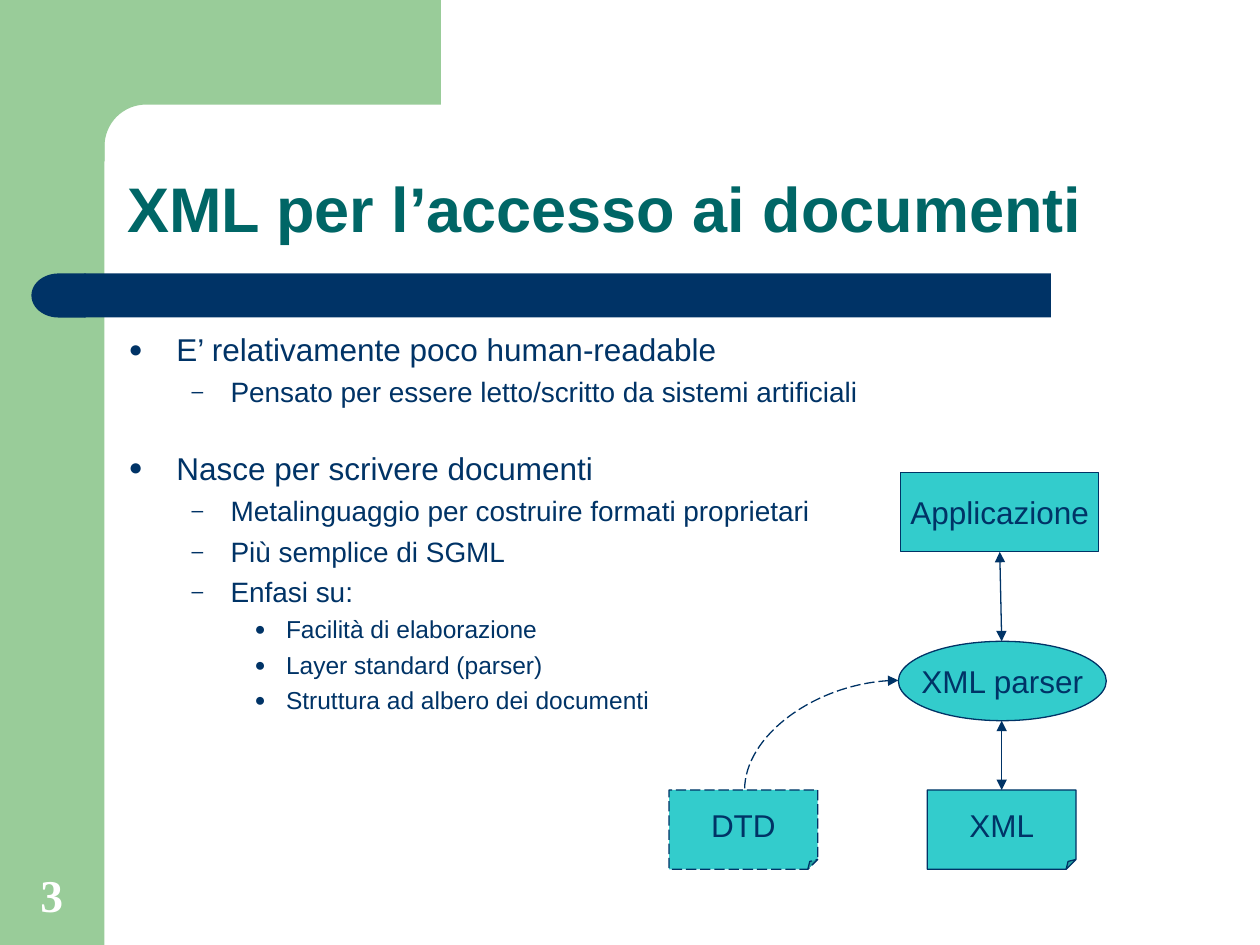
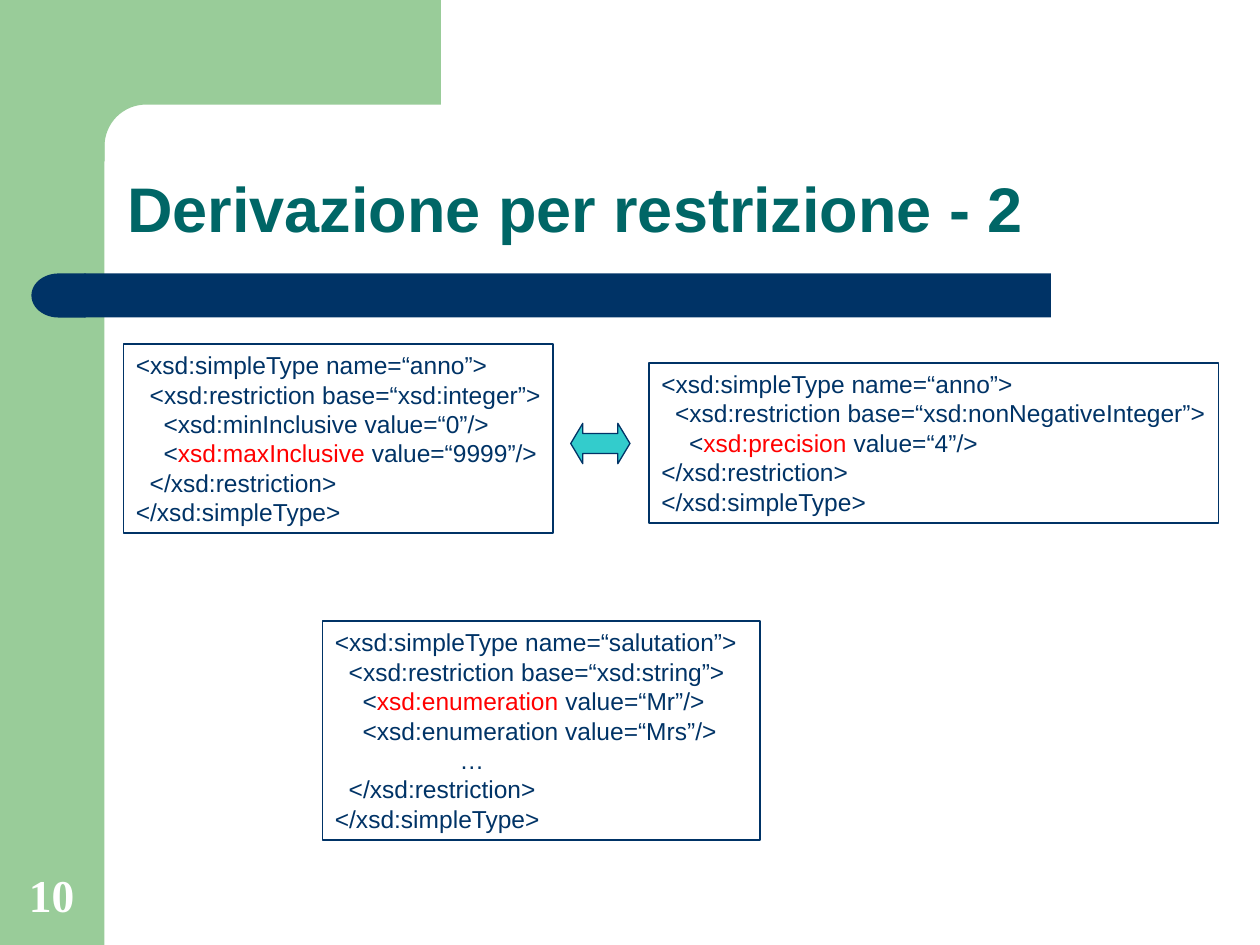
from math import cos, pi, sin

from lxml.etree import SubElement
from pptx import Presentation
from pptx.dml.color import RGBColor
from pptx.enum.dml import MSO_LINE
from pptx.enum.shapes import MSO_CONNECTOR as LINK, MSO_SHAPE as SHAPE
from pptx.enum.text import MSO_ANCHOR as ANCHOR, MSO_AUTO_SIZE as AUTO, PP_ALIGN as ALIGN
from pptx.oxml.ns import qn
from pptx.util import Inches, Pt

GREEN = RGBColor(0x99, 0xCC, 0x99)
NAVY = RGBColor(0x00, 0x33, 0x66)
TEAL = RGBColor(0x00, 0x66, 0x66)
AQUA = RGBColor(0x33, 0xCC, 0xCC)
RED = RGBColor(0xFF, 0x00, 0x00)
WHITE = RGBColor(0xFF, 0xFF, 0xFF)
SANS, SERIF = "Arial", "Times New Roman"

# Per list level: left margin, hanging indent, text size, space before, bullet
LEVELS = [(0.38, 0.38, 18, 4.5, "●"), (0.81, 0.31, 16, 4, "–"), (1.25, 0.25, 14, 3.5, "●")]
SECTION_GAP = 23
CODE_STEP = 0.11

# (level, text) and, for code, (depth, plain, red, plain ...)
ACCESS_POINTS = [
    (0, "E’ relativamente poco human-readable"),
    (1, "Pensato per essere letto/scritto da sistemi artificiali"),
    (0, "Nasce per scrivere documenti"),
    (1, "Metalinguaggio per costruire formati proprietari"),
    (1, "Più semplice di SGML"),
    (1, "Enfasi su:"),
    (2, "Facilità di elaborazione"),
    (2, "Layer standard (parser)"),
    (2, "Struttura ad albero dei documenti"),
]
YEAR_BY_RANGE = [
    (0, "<xsd:simpleType name=“anno”>"),
    (1, "<xsd:restriction base=“xsd:integer”>"),
    (2, "<xsd:minInclusive value=“0”/>"),
    (2, "<", "xsd:maxInclusive", " value=“9999”/>"),
    (1, "</xsd:restriction>"),
    (0, "</xsd:simpleType>"),
]
YEAR_BY_PRECISION = [
    (0, "<xsd:simpleType name=“anno”>"),
    (1, "<xsd:restriction base=“xsd:nonNegativeInteger”>"),
    (2, "<", "xsd:precision", " value=“4”/>"),
    (0, "</xsd:restriction>"),
    (0, "</xsd:simpleType>"),
]
SALUTATION = [
    (0, "<xsd:simpleType name=“salutation”>"),
    (1, "<xsd:restriction base=“xsd:string”>"),
    (2, "<", "xsd:enumeration", " value=“Mr”/>"),
    (2, "<xsd:enumeration value=“Mrs”/>"),
    (9, "…"),
    (1, "</xsd:restriction>"),
    (0, "</xsd:simpleType>"),
]


def add_run(paragraph, text, size, color=NAVY, font=SANS, bold=False):
    run = paragraph.add_run()
    run.text = text
    run.font.name, run.font.size, run.font.bold = font, Pt(size), bold
    run.font.color.rgb = color


def paragraphs(frame, count):
    """Yield the frame's first paragraph, then new ones."""
    yield frame.paragraphs[0]
    for _ in range(count - 1):
        yield frame.add_paragraph()


def paint(shape, fill=None, line=None, width=0.75):
    shape.shadow.inherit = False
    if fill is None:
        shape.fill.background()
    else:
        shape.fill.solid()
        shape.fill.fore_color.rgb = fill
    if line is None:
        shape.line.fill.background()
    else:
        shape.line.color.rgb = line
        shape.line.width = Pt(width)


def add_block(slide, kind, box, fill=None, line=None, width=0.75):
    block = slide.shapes.add_shape(kind, *map(Inches, box))
    paint(block, fill, line, width)
    return block


def place(placeholder, box):
    placeholder.left, placeholder.top, placeholder.width, placeholder.height = map(Inches, box)
    frame = placeholder.text_frame
    frame.auto_size = AUTO.NONE
    return frame


# Shared frame of every slide
def add_frame(slide):
    add_block(slide, SHAPE.RECTANGLE, (0, 0, 0.83, 7.5), GREEN)

    # Top band with a rounded inner corner
    side, center, radius = 0.83, 1.16, 0.33
    arc = [(center - radius * sin(a), center - radius * cos(a))
           for a in (pi / 2 * i / 16 for i in range(17))]
    outline = [(3.5, 0), (3.5, side), *arc, (side, 1.28), (0.5, 1.28)]
    builder = slide.shapes.build_freeform(Inches(0.5), 0)
    builder.add_line_segments([(Inches(x), Inches(y)) for x, y in outline])
    paint(builder.convert_to_shape(), GREEN)

    # Rule under the title
    add_block(slide, SHAPE.RECTANGLE, (0.67, 2.17, 7.67, 0.35), NAVY)
    rule_end = add_block(slide, SHAPE.FLOWCHART_DELAY, (0.25, 2.17, 0.43, 0.35), NAVY)
    rule_end._element.spPr.find(qn("a:xfrm")).set("flipH", "1")


def add_title(slide, text, width):
    frame = place(slide.shapes.title, (0.91, 0.91, width, 1.09))
    frame.vertical_anchor = ANCHOR.BOTTOM
    heading = frame.paragraphs[0]
    heading.alignment, heading.line_spacing = ALIGN.LEFT, 0.9
    add_run(heading, text, 36, TEAL, bold=True)


def add_number(slide, number):
    corner = slide.shapes.add_textbox(*map(Inches, (0.09, 6.83, 0.64, 0.53)))
    frame = corner.text_frame
    frame.word_wrap, frame.vertical_anchor = True, ANCHOR.BOTTOM
    frame.paragraphs[0].alignment = ALIGN.CENTER
    add_run(frame.paragraphs[0], str(number), 26, WHITE, SERIF, True)


def new_slide(deck, layout, title, title_width, number):
    slide = deck.slides.add_slide(deck.slide_layouts[layout])
    add_frame(slide)
    add_title(slide, title, title_width)
    add_number(slide, number)
    return slide


# Content elements
def set_bullet(paragraph, margin, hanging, symbol):
    props = paragraph._p.get_or_add_pPr()
    props.set("marL", str(Inches(margin)))
    props.set("indent", str(-Inches(hanging)))
    SubElement(SubElement(props, qn("a:buClr")), qn("a:srgbClr")).set("val", str(NAVY))
    SubElement(props, qn("a:buSzPct")).set("val", "75000")
    SubElement(props, qn("a:buFont")).set("typeface", SANS)
    SubElement(props, qn("a:buChar")).set("char", symbol)


def add_list(slide, points, box):
    frame = place(slide.placeholders[1], box)
    for index, (point, (level, text)) in enumerate(zip(paragraphs(frame, len(points)), points)):
        margin, hanging, size, before, symbol = LEVELS[level]
        point.level = level
        starts_section = level == 0 and index > 0
        point.space_before = Pt(SECTION_GAP if starts_section else before)
        set_bullet(point, margin, hanging, symbol)
        add_run(point, text, size)


def set_fold(sheet, size):
    guides = sheet._element.spPr.find(qn("a:prstGeom")).get_or_add_avLst()
    fold = SubElement(guides, qn("a:gd"))
    fold.set("name", "adj")
    fold.set("fmla", f"val {size}")


def add_node(slide, kind, box, label, dashed=False):
    node = add_block(slide, kind, box, AQUA, NAVY)
    if kind == SHAPE.FOLDED_CORNER:
        set_fold(node, 12500)
    if dashed:
        node.line.dash_style = MSO_LINE.LONG_DASH
    frame = node.text_frame
    frame.word_wrap, frame.vertical_anchor = False, ANCHOR.MIDDLE
    frame.paragraphs[0].alignment = ALIGN.CENTER
    add_run(frame.paragraphs[0], label, 18)
    return node


def add_arrow(slide, kind, start, end, ends=("headEnd", "tailEnd"), dashed=False):
    arrow = slide.shapes.add_connector(kind, *map(Inches, (*start, *end)))
    arrow.line.color.rgb, arrow.line.width = NAVY, Pt(0.75)
    if dashed:
        arrow.line.dash_style = MSO_LINE.LONG_DASH
    props = arrow._element.spPr
    for tip in ends:
        SubElement(props.find(qn("a:ln")), qn(f"a:{tip}")).set("type", "triangle")
    SubElement(props, qn("a:effectLst"))
    return arrow


def add_code(slide, lines, box, wrap=False):
    panel = add_block(slide, SHAPE.RECTANGLE, box, line=NAVY, width=1)
    frame = panel.text_frame
    frame.word_wrap, frame.vertical_anchor = wrap, ANCHOR.TOP
    for row, (depth, *parts) in zip(paragraphs(frame, len(lines)), lines):
        row.alignment = ALIGN.LEFT
        row._p.get_or_add_pPr().set("marL", str(Inches(depth * CODE_STEP)))
        for index, part in enumerate(parts):
            add_run(row, part, 14, RED if index % 2 else NAVY)


# Slides
def build_access(deck):
    slide = new_slide(deck, 1, "XML per l’accesso ai documenti", 8.51, 3)
    add_list(slide, ACCESS_POINTS, (0.92, 2.57, 8.26, 3.54))

    xml = add_node(slide, SHAPE.FOLDED_CORNER, (7.36, 6.27, 1.18, 0.63), "XML")
    add_node(slide, SHAPE.FOLDED_CORNER, (5.31, 6.27, 1.18, 0.63), "DTD", dashed=True)
    add_node(slide, SHAPE.OVAL, (7.13, 5.09, 1.65, 0.63), "XML parser")
    application = add_node(slide, SHAPE.RECTANGLE, (7.15, 3.75, 1.57, 0.63), "Applicazione")

    parser_to_xml = add_arrow(slide, LINK.STRAIGHT, (7.95, 5.72), (7.95, 6.27))
    parser_to_xml.end_connect(xml, 0)
    application_to_parser = add_arrow(slide, LINK.STRAIGHT, (7.94, 4.38), (7.95, 5.09))
    application_to_parser.begin_connect(application, 2)

    # Quarter curve, arrowhead at the parser
    parser_to_dtd = add_arrow(slide, LINK.CURVE, (7.13, 5.4), (5.91, 6.27), ["headEnd"], True)
    parser_to_dtd._element.spPr.find(qn("a:prstGeom")).set("prst", "curvedConnector2")


def build_restriction(deck):
    slide = new_slide(deck, 5, "Derivazione per restrizione - 2", 8.73, 10)
    add_code(slide, YEAR_BY_RANGE, (0.98, 2.73, 3.41, 1.5))
    add_code(slide, YEAR_BY_PRECISION, (5.15, 2.88, 4.52, 1.27))
    equivalence = add_block(slide, SHAPE.LEFT_RIGHT_ARROW, (4.53, 3.36, 0.47, 0.32), AQUA, NAVY)
    equivalence.adjustments[0], equivalence.adjustments[1] = 0.5, 0.3
    add_code(slide, SALUTATION, (2.56, 4.93, 3.47, 1.74), wrap=True)


def main():
    deck = Presentation()
    deck.slide_width, deck.slide_height = Inches(10), Inches(7.5)
    build_access(deck)
    build_restriction(deck)
    deck.save("out.pptx")


if __name__ == "__main__":
    main()
